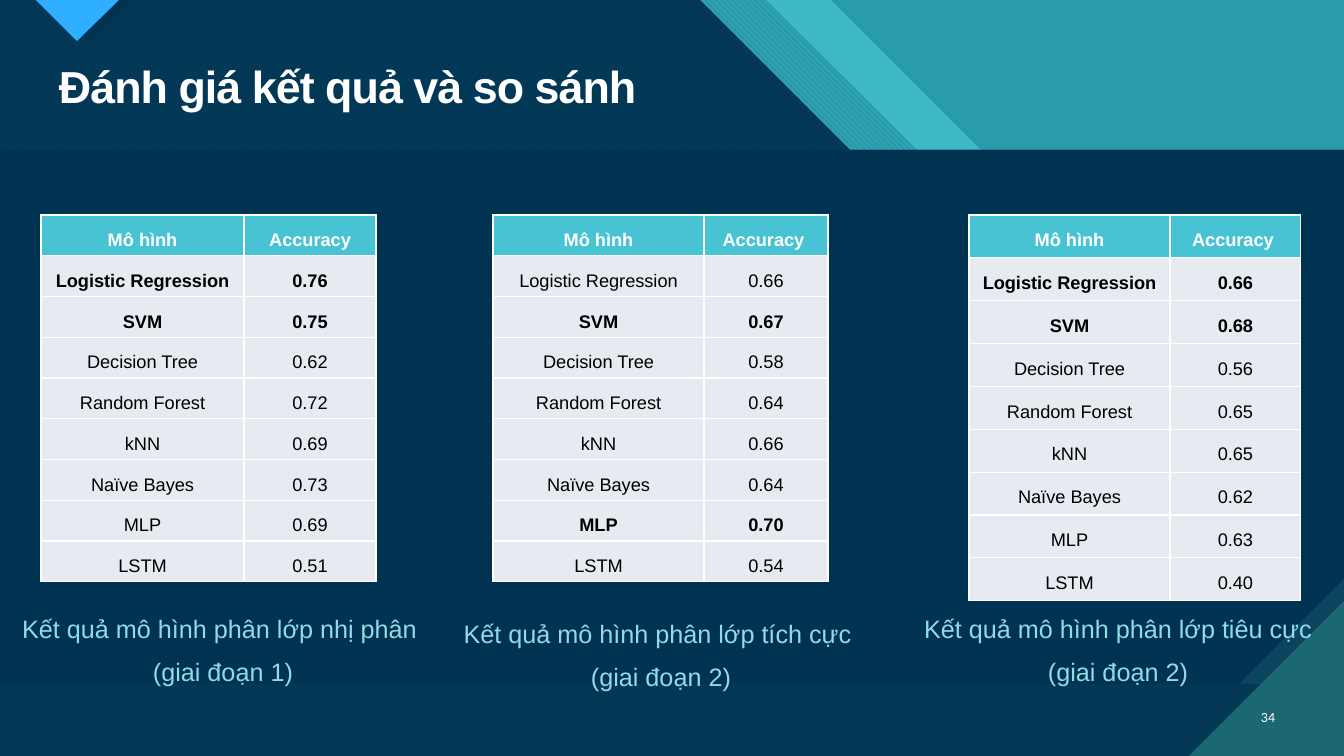
from dataclasses import dataclass

from lxml import etree
from pptx import Presentation
from pptx.dml.color import RGBColor
from pptx.enum import dml, text
from pptx.oxml import ns
from pptx.util import Emu, Pt

EMU_PER_PX = 914400 / 100.8
PAGE_WIDTH, PAGE_HEIGHT = 1344, 756
HEADER_BOTTOM = 150
TABLE_TOP = 215


@dataclass(frozen=True)
class Theme:
    navy: str = "003352"
    shade: str = "0C4360"
    teal: str = "299CAB"
    deep_teal: str = "1B6872"
    aqua: str = "47C3D3"
    strip: str = "3FB8C8"
    blue: str = "2FAFFF"
    caption: str = "91DBE5"
    cell: str = "E7EAF0"
    white: str = "FFFFFF"
    black: str = "000000"
    font: str = "Arial"
    number_font: str = "Calibri"
    title_size: int = 32
    caption_size: int = 18
    table_size: int = 13
    number_size: int = 10


THEME = Theme()

MODELS = ["Logistic Regression", "SVM", "Decision Tree", "Random Forest",
          "kNN", "Naïve Bayes", "MLP", "LSTM"]

# left, column widths, height, accuracy heading, scores, bold models
RESULTS = [
    (41, (203, 132), 366, "Accuracy",
     ["0.76", "0.75", "0.62", "0.72", "0.69", "0.73", "0.69", "0.51"],
     {"Logistic Regression", "SVM"}),
    (493, (211, 124), 366, "Accuracy ",
     ["0.66", "0.67", "0.58", "0.64", "0.66", "0.64", "0.70", "0.54"],
     {"SVM", "MLP"}),
    (969, (201, 131), 386, "Accuracy ",
     ["0.66", "0.68", "0.56", "0.65", "0.65", "0.62", "0.63", "0.40"],
     {"Logistic Regression", "SVM"}),
]

# left, top, width, lines
CAPTIONS = [
    (0, 606, 446, ["Kết quả mô hình phân lớp nhị phân ", "(giai đoạn 1)"]),
    (440, 611, 442, ["Kết quả mô hình phân lớp tích cực ", "(giai đoạn 2)"]),
    (902, 606, 432, ["Kết quả mô hình phân lớp tiêu cực", "(giai đoạn 2)"]),
]


def px(length):
    return Emu(round(length * EMU_PER_PX))


def rgb(colour):
    return RGBColor.from_string(colour)


def add_outline(page, points, colour, pattern=None, back=None, alpha=None):
    builder = page.shapes.build_freeform(*points[0], scale=EMU_PER_PX)
    builder.add_line_segments(points[1:], close=True)
    shape = builder.convert_to_shape()
    shape.shadow.inherit = False
    shape.line.fill.background()
    if pattern:
        shape.fill.patterned()
        shape.fill.pattern = pattern
        shape.fill.fore_color.rgb = rgb(colour)
        shape.fill.back_color.rgb = rgb(back)
    else:
        shape.fill.solid()
        shape.fill.fore_color.rgb = rgb(colour)
    if alpha:
        tint = shape.fill._xPr.find(ns.qn("a:solidFill"))[0]
        etree.SubElement(tint, ns.qn("a:alpha"), val=str(alpha * 1000))


def add_span(para, words, size, colour, bold=False, font=THEME.font):
    span = para.add_run()
    span.text = words
    span.font.size = Pt(size)
    span.font.name = font
    span.font.bold = bold
    span.font.color.rgb = rgb(colour)
    return span


def add_box(page, left, top, width, height, anchor=text.MSO_ANCHOR.MIDDLE):
    box = page.shapes.add_textbox(px(left), px(top), px(width), px(height))
    box.text_frame.word_wrap = True
    box.text_frame.vertical_anchor = anchor
    return box.text_frame


def add_title(page, words):
    para = add_box(page, 49, 59, 1236, 59).paragraphs[0]
    para.line_spacing = 0.9
    span = add_span(para, words, THEME.title_size, THEME.white, bold=True)
    span.font._element.set("spc", "-70")


def add_page_number(page, number):
    para = add_box(page, 1241, 697, 44, 40).paragraphs[0]
    para.alignment = text.PP_ALIGN.RIGHT
    add_span(para, number, THEME.number_size, THEME.white,
             font=THEME.number_font)


def add_caption(page, left, top, width, lines):
    frame = add_box(page, left, top, width, 86, text.MSO_ANCHOR.TOP)
    for index, line in enumerate(lines):
        para = frame.add_paragraph() if index else frame.paragraphs[0]
        para.alignment = text.PP_ALIGN.CENTER
        para.line_spacing = 1.07
        para.space_after = Pt(8)
        add_span(para, line, THEME.caption_size, THEME.caption)


def add_borders(cell):
    properties = cell._tc.get_or_add_tcPr()
    for index, side in enumerate(("lnL", "lnR", "lnT", "lnB")):
        line = etree.Element(ns.qn(f"a:{side}"), w=str(Pt(1)))
        fill = etree.SubElement(line, ns.qn("a:solidFill"))
        etree.SubElement(fill, ns.qn("a:srgbClr"), val=THEME.white)
        properties.insert(index, line)


def fill_cell(cell, words, fill, colour, bold):
    cell.margin_left = cell.margin_right = px(7)
    cell.margin_top, cell.margin_bottom = px(5), px(3)
    cell.fill.solid()
    cell.fill.fore_color.rgb = rgb(fill)
    add_borders(cell)
    para = cell.text_frame.paragraphs[0]
    para.alignment = text.PP_ALIGN.CENTER
    para.line_spacing = 1.5
    add_span(para, words, THEME.table_size, colour, bold)


def add_results(page, left, widths, height, heading, scores, best):
    rows = [("Mô hình", heading), *zip(MODELS, scores)]
    table = page.shapes.add_table(len(rows), len(widths), px(left),
                                  px(TABLE_TOP), px(sum(widths)),
                                  px(height)).table
    table.first_row = table.horz_banding = False
    for column, width in zip(table.columns, widths):
        column.width = px(width)
    for index, row in enumerate(rows):
        table.rows[index].height = px(height / len(rows))
        header = index == 0
        fill = THEME.aqua if header else THEME.cell
        colour = THEME.white if header else THEME.black
        for place, words in enumerate(row):
            fill_cell(table.cell(index, place), words, fill, colour,
                      header or row[0] in best)


def add_backdrop(page):
    # Diagonal header strips
    add_outline(page, [(766, 0), (831, 0), (981, HEADER_BOTTOM),
                       (917, HEADER_BOTTOM)], THEME.strip)
    add_outline(page, [(700, 0), (766, 0), (917, HEADER_BOTTOM),
                       (850, HEADER_BOTTOM)], THEME.aqua,
                dml.MSO_PATTERN.WIDE_DOWNWARD_DIAGONAL, THEME.teal)

    # Hatched navy ground under a translucent veil
    ground = [(0, 0), (700, 0), (850, HEADER_BOTTOM),
              (PAGE_WIDTH, HEADER_BOTTOM), (PAGE_WIDTH, PAGE_HEIGHT),
              (0, PAGE_HEIGHT)]
    add_outline(page, ground, THEME.aqua,
                dml.MSO_PATTERN.WIDE_UPWARD_DIAGONAL, THEME.deep_teal)
    add_outline(page, ground, THEME.navy, alpha=90)

    # Body panel with its cut corner
    add_outline(page, [(0, HEADER_BOTTOM), (PAGE_WIDTH, HEADER_BOTTOM),
                       (PAGE_WIDTH, 579), (1239, 684), (0, 684)], THEME.navy)
    add_outline(page, [(PAGE_WIDTH, 579), (PAGE_WIDTH, 684), (1239, 684)],
                THEME.shade)

    # Corner triangles
    add_outline(page, [(1189, PAGE_HEIGHT), (PAGE_WIDTH, PAGE_HEIGHT),
                       (PAGE_WIDTH, 601)], THEME.deep_teal)
    add_outline(page, [(49, 0), (132, 0), (91, 41)], THEME.navy)
    add_outline(page, [(36, 0), (119, 0), (77, 41)], THEME.blue)


def main():
    deck = Presentation()
    deck.slide_width, deck.slide_height = px(PAGE_WIDTH), px(PAGE_HEIGHT)
    page = deck.slides.add_slide(deck.slide_layouts[6])
    page.background.fill.solid()
    page.background.fill.fore_color.rgb = rgb(THEME.teal)

    add_backdrop(page)
    add_title(page, "Đánh giá kết quả và so sánh")
    add_page_number(page, "34")
    for result in RESULTS:
        add_results(page, *result)
    for caption in CAPTIONS:
        add_caption(page, *caption)

    deck.save("out.pptx")


if __name__ == "__main__":
    main()
